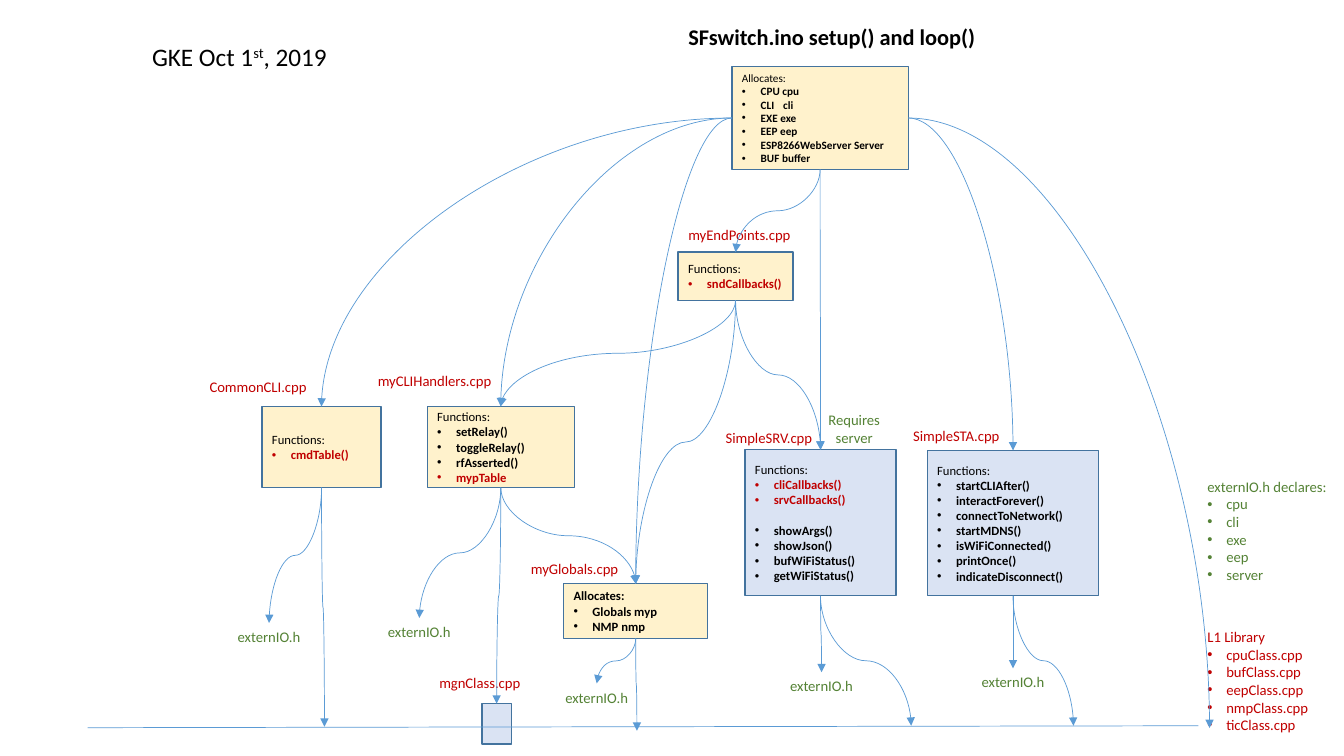
from lxml import etree
from pptx import Presentation
from pptx import util as u
from pptx.dml import color
from pptx.enum import shapes, text
from pptx.oxml import ns

BLACK, RED, GREEN, BLUE = "000000", "C00000", "548235", "5B9BD5"
CREAM, PALE, EDGE = "FFF2CC", "DAE3F3", "43739E"
INDENT = 13.5
PLAIN, BOLD = {"bold": False}, {"bold": True}
ALERT = {"bold": True, "color": RED}

BOXES = {
    "setup": (522.8, 47.6, 126, 73.4, CREAM),
    "endpoints": (484.4, 180.1, 82, 34.4, CREAM),
    "common": (187.2, 290.4, 85, 58, CREAM),
    "handlers": (305.2, 290.2, 105, 58.2, CREAM),
    "globals": (402.6, 417, 103, 39, CREAM),
    "server": (532.2, 321.2, 107.8, 104.4, PALE),
    "station": (662.4, 321.8, 122.4, 103.7, PALE),
    "magnet": (344.2, 502.6, 21.1, 28.8, PALE),
}

CONTENTS = {
    "setup": [("Allocates:", PLAIN), ("CPU cpu", BOLD), ("CLI\tcli", BOLD),
              ("EXE exe", BOLD), ("EEP eep", BOLD),
              ("ESP8266WebServer Server", BOLD), ("BUF buffer", BOLD)],
    "endpoints": [("Functions:", PLAIN), ("sndCallbacks()", ALERT)],
    "common": [("Functions:", PLAIN), ("cmdTable()", ALERT)],
    "handlers": [("Functions:", PLAIN), ("setRelay()", BOLD), ("toggleRelay()", BOLD),
                 ("rfAsserted()", BOLD), ("mypTable", ALERT)],
    "globals": [("Allocates:", BOLD), ("Globals myp", BOLD), ("NMP nmp", BOLD)],
    "server": [("Functions:", PLAIN), ("cliCallbacks()", ALERT), ("srvCallbacks()", ALERT),
               ("showArgs()", {"bold": True, "gap": 11}), ("showJson()", BOLD),
               ("bufWiFiStatus()", BOLD), ("getWiFiStatus()", BOLD)],
    "station": [("Functions:", PLAIN)] + [(name, BOLD) for name in (
        "startCLIAfter()", "interactForever()", "connectToNetwork()", "startMDNS()",
        "isWiFiConnected()", "printOnce()", "indicateDisconnect()")],
}

FILE_LABELS = [
    ("myEndPoints.cpp", 484.6, 157.7, 105.8), ("myGlobals.cpp", 372.2, 396.7, 79.2),
    ("myCLIHandlers.cpp", 262.8, 262.1, 106.6), ("SimpleSRV.cpp", 511.2, 303.1, 78.5),
    ("mgnClass.cpp", 306.7, 478.1, 74.9), ("SimpleSTA.cpp", 645.1, 301, 78.5),
    ("CommonCLI.cpp", 142.6, 266.4, 90.7),
]

LISTS = [
    (855.4, 445, 100.8, 96.5, RED, ["L1 Library", "cpuClass.cpp", "bufClass.cpp",
                                    "eepClass.cpp", "nmpClass.cpp", "ticClass.cpp"]),
    (855.4, 337.7, 113, 83.5, GREEN, ["externIO.h declares:", "cpu", "cli", "exe",
                                      "eep", "server"]),
]

SIDE_TARGETS = ["common", "handlers", "globals", "station"]
LINKS = [("setup", "endpoints"), ("setup", "server"), ("endpoints", "globals"),
         ("endpoints", "server"), ("endpoints", "handlers"), ("handlers", "globals"),
         ("handlers", "magnet")]
EXTERNS = [("common", 192.2, 445), ("handlers", 299.5, 441.4), ("globals", 426.2, 488.2),
           ("server", 586.8, 480.2), ("station", 723.6, 477.4)]
DROPS = [("common", 231.8, 519.1), ("globals", 455, 522), ("server", 650.9, 518.4),
         ("station", 766.8, 518.4)]


def rgb(value):
    return color.RGBColor.from_string(value)


def apply(target, values):
    for name, value in values.items():
        setattr(target, name, value)


def add_span(para, words, size, tint=BLACK, bold=False):
    span = para.add_run()
    span.text = words
    apply(span.font, {"name": "Calibri", "size": u.Pt(size), "bold": bold})
    span.font.color.rgb = rgb(tint)
    return span


def add_bullet(para):
    props = para._p.get_or_add_pPr()
    props.set("marL", str(u.Pt(INDENT)))
    props.set("indent", str(-u.Pt(INDENT)))
    etree.SubElement(props, ns.qn("a:buFont"), typeface="Arial")
    etree.SubElement(props, ns.qn("a:buChar"), char="•")
    if "\t" in para.text:
        stops = etree.SubElement(props, ns.qn("a:tabLst"))
        etree.SubElement(stops, ns.qn("a:tab"), pos=str(u.Pt(INDENT + 16)), algn="l")


def write_lines(frame, lines, size, align=text.PP_ALIGN.LEFT, bulleted=True):
    for index, (words, look) in enumerate(lines):
        para = frame.add_paragraph() if index else frame.paragraphs[0]
        apply(para, {"alignment": align, "space_before": u.Pt(look.get("gap", 0))})
        add_span(para, words, size, look.get("color", BLACK), look.get("bold", False))
        if index and bulleted:
            add_bullet(para)


def add_box(page, name):
    *place, fill = BOXES[name]
    box = page.shapes.add_shape(shapes.MSO_SHAPE.RECTANGLE, *map(u.Pt, place))
    box.shadow.inherit = False
    box.fill.solid()
    box.fill.fore_color.rgb = rgb(fill)
    box.line.color.rgb = rgb(EDGE)
    box.line.width = u.Pt(1)
    if name in CONTENTS:
        apply(box.text_frame, {"word_wrap": True, "vertical_anchor": text.MSO_ANCHOR.MIDDLE})
        write_lines(box.text_frame, CONTENTS[name], 8 if name == "setup" else 9)


def add_label(page, left, top, width, height, wrap=True):
    frame = page.shapes.add_textbox(*map(u.Pt, (left, top, width, height))).text_frame
    apply(frame, {"word_wrap": wrap, "auto_size": text.MSO_AUTO_SIZE.SHAPE_TO_FIT_TEXT})
    return frame


def add_line(page, kind, start, end, arrow=True):
    line = page.shapes.add_connector(kind, *map(u.Pt, (*start, *end)))
    line.line.color.rgb = rgb(BLUE)
    line.line.width = u.Pt(0.5)
    props = line._element.spPr
    if arrow:
        etree.SubElement(props.find(ns.qn("a:ln")), ns.qn("a:tailEnd"), type="triangle")
    etree.SubElement(props, ns.qn("a:effectLst"))
    return props


def add_side_arc(page, start, end):
    props = add_line(page, shapes.MSO_CONNECTOR.CURVE, start, end)
    props.find(ns.qn("a:prstGeom")).set("prst", "curvedConnector2")


def add_down_curve(page, start, end):
    middle_x, middle_y = (start[0] + end[0]) / 2, (start[1] + end[1]) / 2
    half_drop, half_shift = (end[1] - start[1]) / 2, abs(end[0] - start[0]) / 2
    rightward = end[0] > start[0]
    reach = -half_drop if rightward else half_drop
    props = add_line(page, shapes.MSO_CONNECTOR.CURVE,
                     (middle_x - reach, middle_y - half_shift),
                     (middle_x + reach, middle_y + half_shift))
    props.find(ns.qn("a:xfrm")).set("rot", str((270 if rightward else 90) * 60000))


def anchor(name, across, down):
    left, top, width, height, _ = BOXES[name]
    return left + width * across, top + height * down


def main():
    deck = Presentation()
    apply(deck, {"slide_width": u.Pt(960), "slide_height": u.Pt(540)})
    page = deck.slides.add_slide(deck.slide_layouts[6])

    for name in BOXES:
        add_box(page, name)

    title = add_label(page, 484.6, 13, 226.8, 26.6, wrap=False)
    write_lines(title, [("SFswitch.ino setup() and loop()", BOLD)], 16)
    date = add_label(page, 101.5, 25.9, 150.5, 28.8, wrap=False).paragraphs[0]
    add_span(date, "GKE Oct 1", 18)
    add_span(date, "st", 18)._r.get_or_add_rPr().set("baseline", "30000")
    add_span(date, ", 2019", 18)

    for words, left, top, width in FILE_LABELS:
        write_lines(add_label(page, left, top, width, 20), [(words, {"color": RED})], 10.5)
    for left, top, width, height, tint, lines in LISTS:
        frame = add_label(page, left, top, width, height)
        write_lines(frame, [(words, {"color": tint}) for words in lines], 10.5)
    green, center = {"color": GREEN}, text.PP_ALIGN.CENTER
    write_lines(add_label(page, 578.9, 290.2, 62.6, 32.4),
                [("Requires", green), ("server", green)], 10.5, center, bulleted=False)

    for name in SIDE_TARGETS:
        side = 1 if name == "station" else 0
        add_side_arc(page, anchor("setup", side, 0.5), anchor(name, 0.5, 0))
    add_side_arc(page, anchor("setup", 1, 0.5), (864, 520))
    for source, target in LINKS:
        add_down_curve(page, anchor(source, 0.5, 1), anchor(target, 0.5, 0))
    for source, x, y in EXTERNS:
        add_down_curve(page, anchor(source, 0.5, 1), (x, y))
        write_lines(add_label(page, x - 40.7, y, 81.4, 20), [("externIO.h", green)],
                    10.5, center)
    for source, x, y in DROPS:
        add_down_curve(page, anchor(source, 0.5, 1), (x, y))
    add_line(page, shapes.MSO_CONNECTOR.STRAIGHT, (62.6, 519.8), (856, 518.4), arrow=False)

    deck.save("out.pptx")


main()
